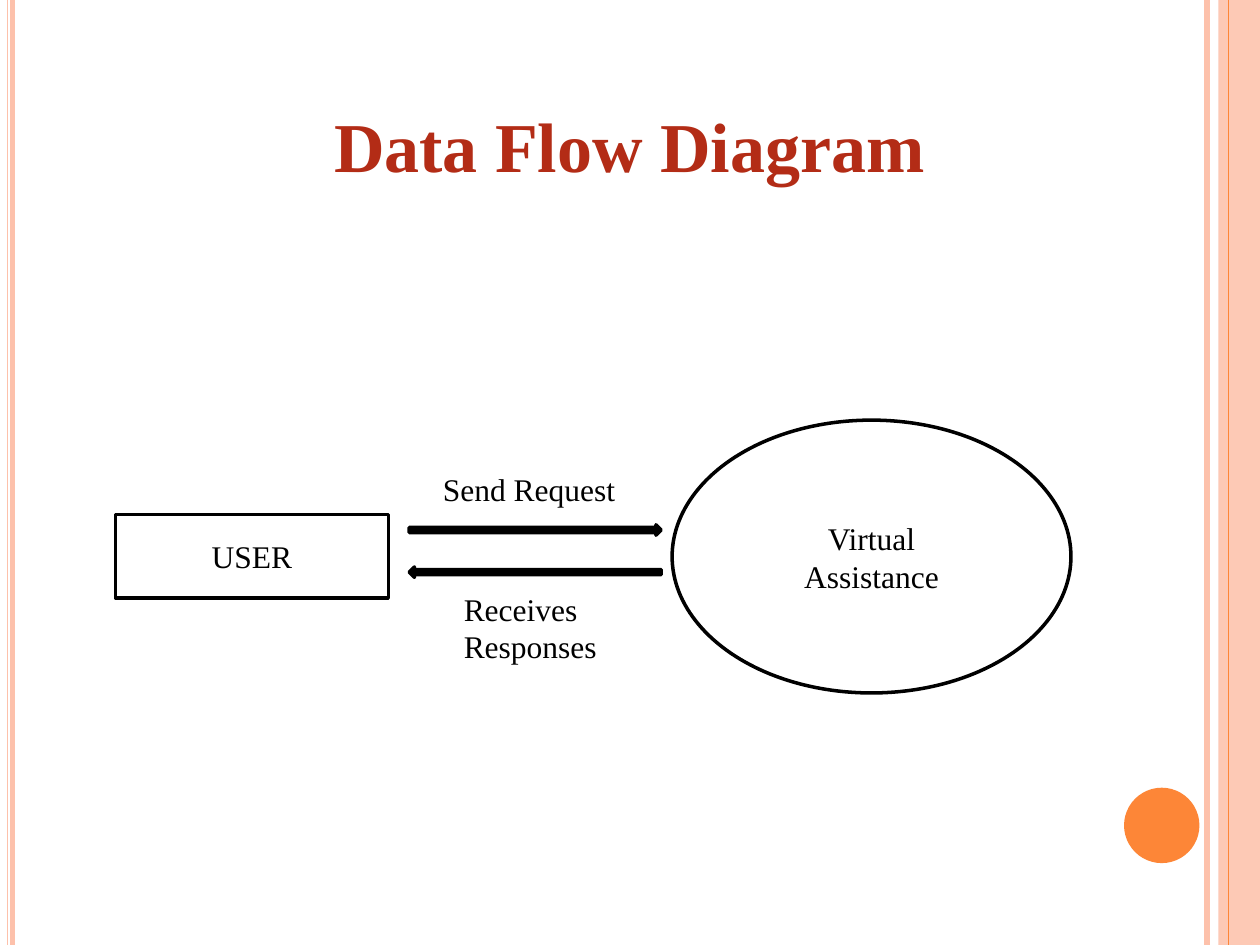
from dataclasses import dataclass

from lxml import etree
from pptx import Presentation
from pptx import util as u
from pptx.dml.color import RGBColor
from pptx.enum import shapes, text
from pptx.oxml import ns


@dataclass(frozen=True)
class Theme:
    font: str = "Times New Roman"
    title_size: int = 40
    body_size: int = 18
    outline: float = 2
    title: str = "B32C16"
    ink: str = "000000"
    paper: str = "FFFFFF"
    peach: str = "FDC1AB"
    orange: str = "FD8637"


@dataclass(frozen=True)
class Area:
    """A rectangle in centimetres."""
    left: float
    top: float
    width: float
    height: float

    def lengths(self) -> list:
        return [u.Cm(n) for n in (self.left, self.top, self.width, self.height)]


@dataclass(frozen=True)
class Stripe:
    x: float
    color: str
    width: float


@dataclass(frozen=True)
class Node:
    kind: shapes.MSO_SHAPE
    area: Area
    fill: str
    line: str | None = None
    lines: str = ""


@dataclass(frozen=True)
class Label:
    words: str
    area: Area


THEME = Theme()
SHAPE = shapes.MSO_SHAPE
WIDTH, HEIGHT = 25.4, 19.05
PANEL_LEFT = 24.56

STRIPES = [
    Stripe(24.33, THEME.peach, 3),
    Stripe(0.25, THEME.peach, 2.7),
    Stripe(0.15, THEME.peach, 0.9),
]
PANEL = Node(SHAPE.RECTANGLE, Area(PANEL_LEFT, 0, WIDTH - PANEL_LEFT, HEIGHT), THEME.peach)
PANEL_STRIPE = Stripe(24.77, THEME.orange, 0.75)
DOT = Node(SHAPE.OVAL, Area(22.66, 15.88, 1.52, 1.52), THEME.orange)
NODES = [
    Node(SHAPE.RECTANGLE, Area(2.33, 10.37, 5.5, 1.69), THEME.paper, THEME.ink, "USER"),
    Node(SHAPE.OVAL, Area(13.55, 8.47, 8.04, 5.5), THEME.paper, THEME.ink,
         "Virtual\nAssistance"),
    Node(SHAPE.RIGHT_ARROW, Area(8.25, 10.58, 5.08, 0.21), THEME.ink, THEME.ink),
    Node(SHAPE.LEFT_ARROW, Area(8.25, 11.43, 5.08, 0.21), THEME.ink, THEME.ink),
]
LABELS = [
    Label("Send Request", Area(8.68, 9.35, 4.24, 1.02)),
    Label("Receives Responses", Area(9.1, 11.76, 3.81, 1.8)),
]


def format_text(frame, size: int, color: str, align, bold: bool = False) -> None:
    for para in frame.paragraphs:
        para.alignment = align
        for span in para.runs:
            span.font.name = THEME.font
            span.font.size = u.Pt(size)
            span.font.bold = bold
            span.font.color.rgb = RGBColor.from_string(color)


def draw_stripe(page, stripe: Stripe) -> None:
    line = page.shapes.add_connector(
        shapes.MSO_CONNECTOR.STRAIGHT,
        u.Cm(stripe.x), u.Cm(0), u.Cm(stripe.x), u.Cm(HEIGHT))
    line.line.color.rgb = RGBColor.from_string(stripe.color)
    line.line.width = u.Pt(stripe.width)
    etree.SubElement(line._element.spPr, ns.qn("a:effectLst"))


def draw_node(page, node: Node):
    shape = page.shapes.add_shape(node.kind, *node.area.lengths())
    shape.shadow.inherit = False
    shape.fill.solid()
    shape.fill.fore_color.rgb = RGBColor.from_string(node.fill)
    if node.line:
        shape.line.color.rgb = RGBColor.from_string(node.line)
        shape.line.width = u.Pt(THEME.outline)
    else:
        shape.line.fill.background()
    if node.lines:
        frame = shape.text_frame
        frame.text = node.lines
        frame.vertical_anchor = text.MSO_ANCHOR.MIDDLE
        format_text(frame, THEME.body_size, THEME.ink, text.PP_ALIGN.CENTER)
    return shape


def set_opacity(shape, percent: int) -> None:
    color = shape._element.spPr.find(ns.qn("a:solidFill"))[0]
    etree.SubElement(color, ns.qn("a:alpha"), val=str(percent * 1000))


def draw_label(page, label: Label) -> None:
    box = page.shapes.add_textbox(*label.area.lengths())
    box.text_frame.word_wrap = True
    box.text_frame.text = label.words
    format_text(box.text_frame, THEME.body_size, THEME.ink, text.PP_ALIGN.LEFT)


def write_title(page, words: str, area: Area) -> None:
    title = page.shapes.title
    title.left, title.top, title.width, title.height = area.lengths()
    frame = title.text_frame
    frame.text = words
    frame.vertical_anchor = text.MSO_ANCHOR.TOP
    frame.margin_left = frame.margin_right = frame.margin_bottom = 0
    frame.margin_top = u.Cm(0.17)
    format_text(frame, THEME.title_size, THEME.title, text.PP_ALIGN.CENTER, bold=True)


def main() -> None:
    deck = Presentation()
    deck.slide_width, deck.slide_height = u.Cm(WIDTH), u.Cm(HEIGHT)
    page = deck.slides.add_slide(deck.slide_layouts.get_by_name("Title Only"))
    for stripe in STRIPES:
        draw_stripe(page, stripe)
    set_opacity(draw_node(page, PANEL), 87)
    draw_stripe(page, PANEL_STRIPE)
    draw_node(page, DOT)
    write_title(page, "Data Flow Diagram", Area(1.65, 1.9, 22.07, 2.34))
    for node in NODES:
        draw_node(page, node)
    for label in LABELS:
        draw_label(page, label)
    deck.save("out.pptx")


if __name__ == "__main__":
    main()
